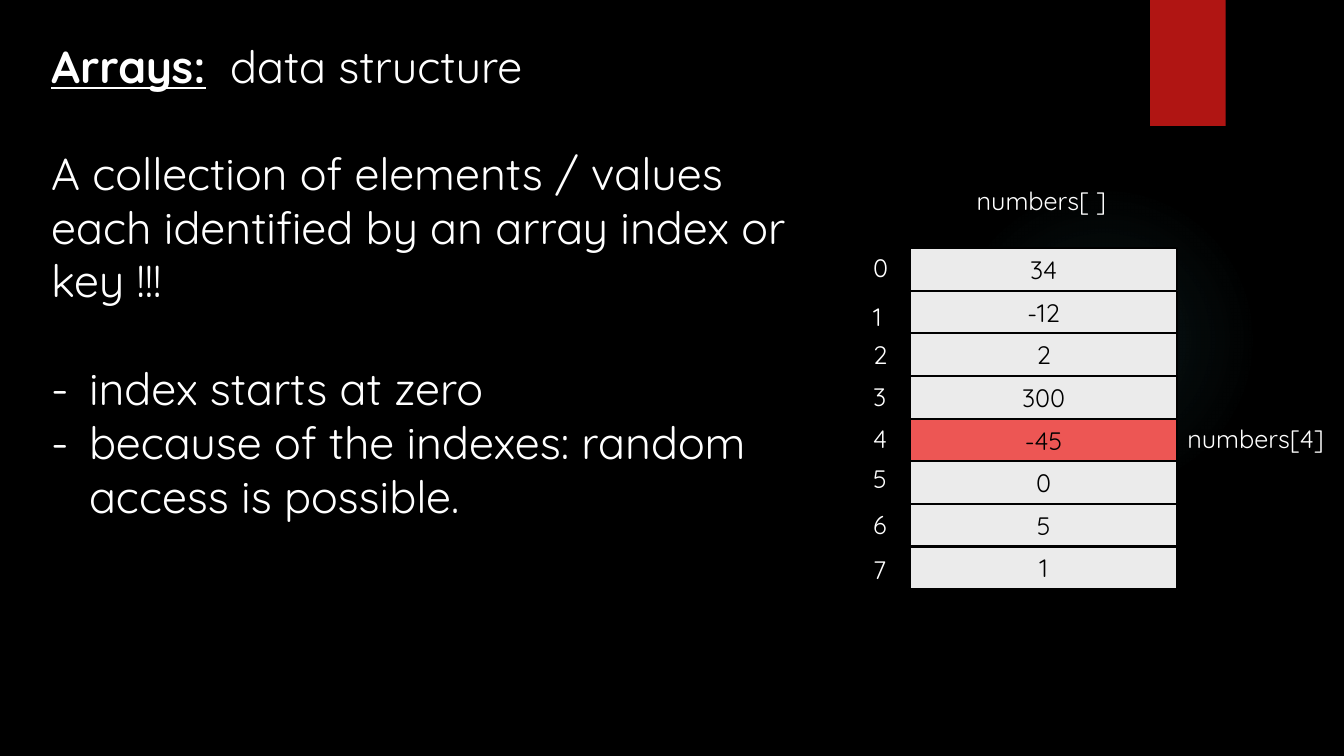
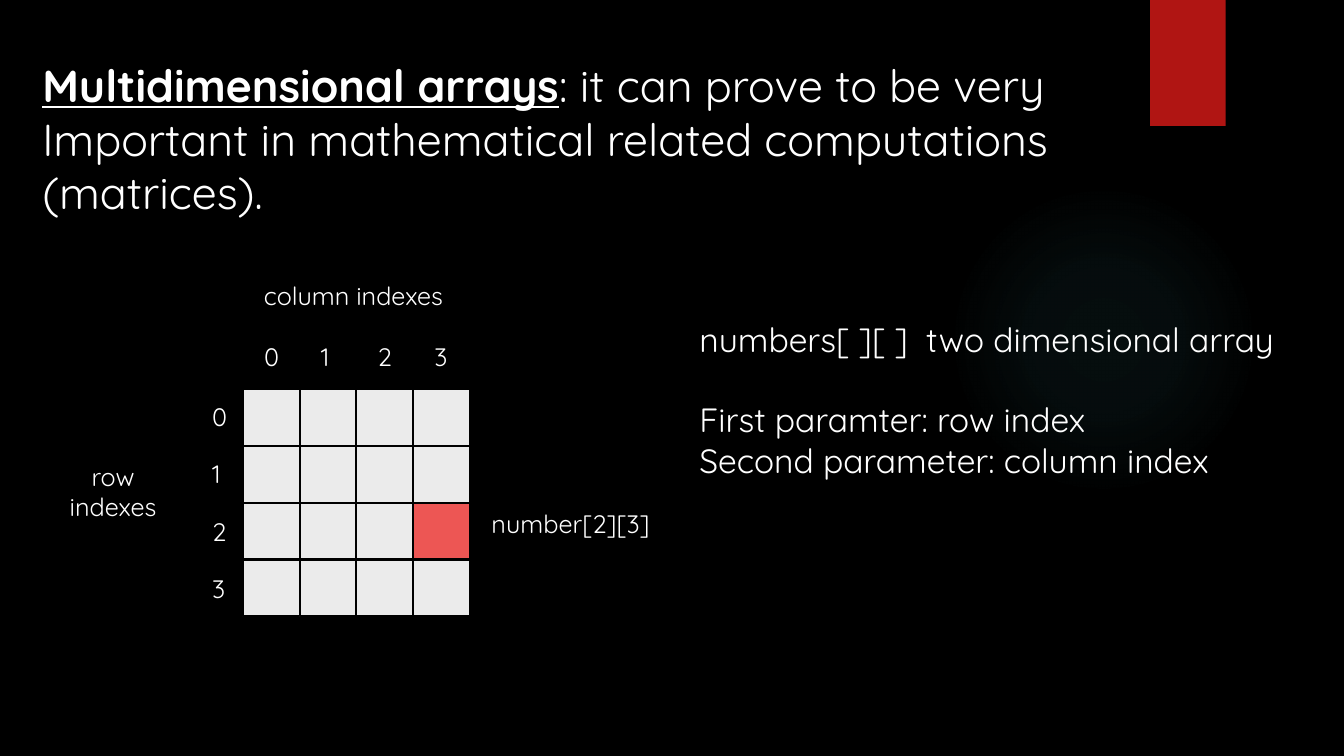
from pptx import Presentation
from pptx.dml.color import RGBColor
from pptx.enum.shapes import MSO_SHAPE as Shape
from pptx.enum.text import MSO_ANCHOR as Anchor, MSO_AUTO_SIZE as AutoSize, PP_ALIGN as Align
from pptx.oxml import parse_xml
from pptx.oxml.ns import nsdecls
from pptx.util import Pt

# Shared look
FONT = "Quicksand"
BLACK, WHITE = "000000", "FFFFFF"
CELL, PICKED, RIBBON, GLOW = "EBEBEB", "ED5654", "B01513", "50B9C1"
HEADING = {"size": Pt(32)}
STRONG = {"size": Pt(32), "bold": True, "underline": True}
NOTE = {"size": Pt(24)}
LABEL = {"size": Pt(18)}


def color(hex_text):
    return RGBColor.from_string(hex_text)


def set_all(target, values):
    for name, value in values.items():
        setattr(target, name, value)


# Text
def add_span(para, text, style, ink=WHITE):
    span = para.add_run()
    span.text = text
    set_all(span.font, {"name": FONT, **style})
    span.font.color.rgb = color(ink)


def write(frame, paras, ink=WHITE, align=Align.LEFT, anchor=Anchor.TOP):
    """Fill a frame; each paragraph is a list of (text, style) spans."""
    set_all(frame, {"word_wrap": True, "auto_size": AutoSize.NONE,
                    "vertical_anchor": anchor})
    for number, spans in enumerate(paras):
        para = frame.add_paragraph() if number else frame.paragraphs[0]
        para.alignment = align
        for text, style in spans:
            add_span(para, text, style, ink)
    return frame.paragraphs


def add_text(page, left, top, width, height, lines, style=LABEL, align=Align.LEFT):
    box = page.shapes.add_textbox(Pt(left), Pt(top), Pt(width), Pt(height))
    return write(box.text_frame, [[(line, style)] for line in lines], align=align)


def add_label(page, left, top, text, width=26):
    add_text(page, left, top, width, 29, [text])


def add_title(page, left, top, width, height, paras):
    title = page.shapes.title
    set_all(title, {"left": Pt(left), "top": Pt(top),
                    "width": Pt(width), "height": Pt(height)})
    write(title.text_frame, paras)


def add_dash(para, indent):
    props = para._p.get_or_add_pPr()
    props.set("marL", str(Pt(indent)))
    props.set("indent", str(-Pt(indent)))
    props.append(parse_xml(f'<a:buFont {nsdecls("a")} typeface="{FONT}"/>'))
    props.append(parse_xml(f'<a:buChar {nsdecls("a")} char="-"/>'))


# Shapes
def add_block(page, left, top, width, height, fill, line=None, kind=Shape.RECTANGLE):
    block = page.shapes.add_shape(kind, Pt(left), Pt(top), Pt(width), Pt(height))
    block.shadow.inherit = False
    block.fill.solid()
    block.fill.fore_color.rgb = color(fill)
    if line:
        block.line.color.rgb = color(line)
        block.line.width = Pt(1.5)
    else:
        block.line.fill.background()
    return block


def add_cell(page, left, top, width, height, picked, text=None):
    cell = add_block(page, left, top, width, height, PICKED if picked else CELL, BLACK)
    if text is not None:
        write(cell.text_frame, [[(text, LABEL)]], BLACK, Align.CENTER, Anchor.MIDDLE)


def add_glow(page):
    glow = add_block(page, 677.5, 132, 221.5, 221.5, GLOW, kind=Shape.OVAL)
    stops = "".join(
        f'<a:gs pos="{place * 1000}"><a:srgbClr val="{GLOW}">'
        f'<a:alpha val="{alpha * 1000}"/></a:srgbClr></a:gs>'
        for place, alpha in ((0, 7), (36, 6), (69, 0)))
    gradient = parse_xml(
        f'<a:gradFill {nsdecls("a")} rotWithShape="1"><a:gsLst>{stops}</a:gsLst>'
        '<a:path path="circle"><a:fillToRect l="50000" t="50000" r="50000" b="50000"/>'
        '</a:path></a:gradFill>')
    props = glow._element.spPr
    props.replace(props.find("{*}solidFill"), gradient)


def add_page(deck):
    page = deck.slides.add_slide(deck.slide_layouts[5])
    add_glow(page)
    add_block(page, 821.5, 0, 54, 90, RIBBON)
    return page


# Slides
def build_arrays(deck):
    page = add_page(deck)
    add_title(page, 29.5, 24, 557, 48,
              [[("Arrays:", STRONG), ("  data structure", HEADING)]])
    paras = add_text(page, 29.5, 100.5, 557, 330, [
        "A collection of elements / values",
        "each identified by an array index or key !!!",
        "index starts at zero",
        "because of the indexes: random access is possible."], HEADING)
    paras[2].space_before = Pt(38.4)
    for para in paras[2:]:
        add_dash(para, 27)

    # Array column with its indexes
    values = ["34", "-12", "2", "300", "-45", "0", "5", "1"]
    label_tops = [177, 211.5, 239, 268.5, 299, 327.5, 360, 392.5]
    pitch = 30.45
    for index, (value, label_top) in enumerate(zip(values, label_tops)):
        add_cell(page, 650, 177.25 + index * pitch, 191, pitch, index == 4, value)
        add_label(page, 616.5, label_top, str(index))
    add_label(page, 690.5, 129, "numbers[ ]", 112)
    add_label(page, 841, 299, "numbers[4]", 116)


def build_matrix(deck):
    page = add_page(deck)
    add_title(page, 23, 37.5, 785.5, 130, [
        [("Multidimensional arrays", STRONG), (": it can prove to be very", HEADING)],
        [("Important in mathematical related computations", HEADING)],
        [("(matrices).", HEADING)]])
    paras = add_text(page, 492.5, 224, 448.5, 124, [
        "numbers[ ][ ]  two dimensional array",
        "First paramter: row index",
        "Second parameter: column index"], NOTE)
    paras[1].space_before = Pt(28.8)

    # Matrix with its indexes
    left, top, pitch = 173.5, 278, 40.55
    for row in range(4):
        add_label(page, 144.5, 283 + row * 41, str(row))
        add_label(page, left + 8 + row * pitch, 240.5, str(row))
        for column in range(4):
            add_cell(page, left + column * pitch, top + row * pitch,
                     pitch, pitch, (row, column) == (2, 3))
    add_text(page, 40, 326, 81.5, 51, ["row", "indexes"], align=Align.CENTER)
    add_label(page, 181.5, 197, "column indexes", 153)
    add_label(page, 344, 359.5, "number[2][3]", 130)


def main():
    deck = Presentation()
    deck.slide_width, deck.slide_height = Pt(960), Pt(540)
    backdrop = deck.slide_master.background.fill
    backdrop.solid()
    backdrop.fore_color.rgb = color(BLACK)
    build_arrays(deck)
    build_matrix(deck)
    deck.save("out.pptx")


if __name__ == "__main__":
    main()
